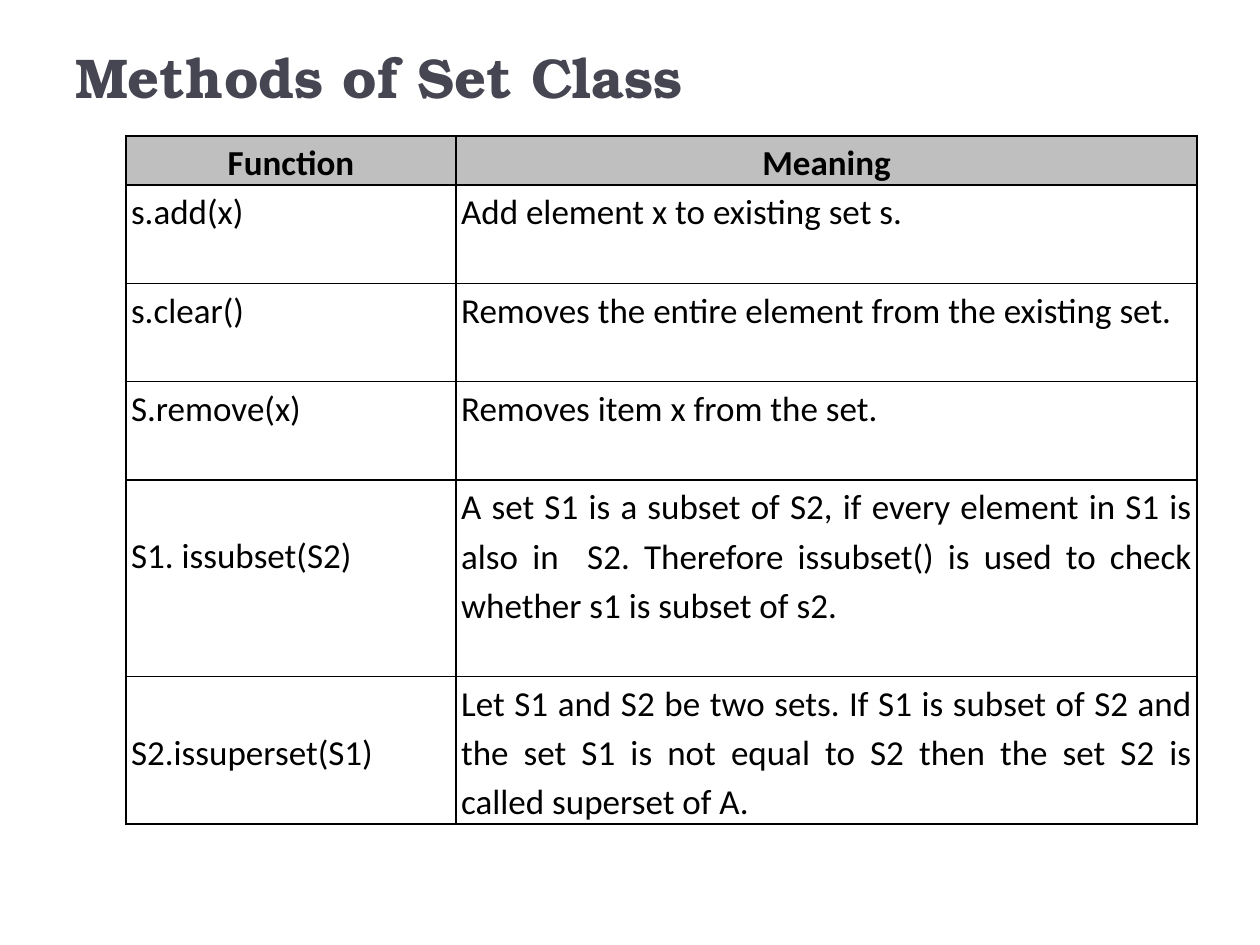
from lxml import etree
from pptx import Presentation
from pptx.dml.color import RGBColor
from pptx.enum.text import MSO_ANCHOR, PP_ALIGN
from pptx.oxml.ns import qn
from pptx.util import Inches, Pt

BOTTOM = MSO_ANCHOR.BOTTOM
LEFT, CENTER, JUSTIFY = PP_ALIGN.LEFT, PP_ALIGN.CENTER, PP_ALIGN.JUSTIFY

COLORS = {"title": "464653", "text": "000000", "header": "BFBFBF", "border": "000000"}
LINE_HEIGHT = 0.39
COLUMN_WIDTHS = (2.62, 5.88)

# Function, meaning, row height in lines, lines above the function name
HEADER = ("Function", "Meaning", 1, 0)
METHODS = [
    ("s.add(x)", "Add element x to existing set s.", 2, 0),
    ("s.clear()", "Removes the entire element from the existing set.", 2, 0),
    ("S.remove(x)", "Removes item x from the set.", 2, 0),
    ("S1. issubset(S2)",
     "A set S1 is a subset of S2, if every element in S1 is also in  S2. "
     "Therefore issubset() is used to check whether s1 is subset of s2.", 4, 1),
    ("S2.issuperset(S1)",
     "Let S1 and S2 be two sets. If S1 is subset of S2 and the set S1 is not "
     "equal to S2 then the set S2 is called superset of A.", 3, 1),
]


def write_text(text_frame, text, *, font="Calibri", size=20, color="text",
               bold=False, align=LEFT, spacing=1.0):
    paragraph = text_frame.paragraphs[0]
    paragraph.alignment = align
    paragraph.line_spacing = spacing
    run = paragraph.add_run()
    run.text = text
    run.font.name = font
    run.font.size = Pt(size)
    run.font.bold = bold
    run.font.color.rgb = RGBColor.from_string(COLORS[color])


def add_title(slide, text):
    shape = slide.shapes.add_textbox(Inches(0.5), Inches(0.17), Inches(9), Inches(0.75))
    text_frame = shape.text_frame
    text_frame.word_wrap = True
    text_frame.vertical_anchor = BOTTOM
    write_text(text_frame, text, font="TeX Gyre Bonum", size=32, color="title", bold=True)


def set_borders(cell):
    properties = cell._tc.get_or_add_tcPr()
    for position, side in enumerate(("lnL", "lnR", "lnT", "lnB")):
        line = etree.Element(qn(f"a:{side}"), w=str(Pt(1)))
        fill = etree.SubElement(line, qn("a:solidFill"))
        etree.SubElement(fill, qn("a:srgbClr"), val=COLORS["border"])
        properties.insert(position, line)


def fill_cell(cell, text, *, header=False, lines_above=0):
    cell.margin_left = cell.margin_right = Inches(0.04)
    cell.margin_top = Inches(lines_above * LINE_HEIGHT)
    cell.margin_bottom = Inches(0)
    if header:
        cell.fill.solid()
        cell.fill.fore_color.rgb = RGBColor.from_string(COLORS["header"])
    else:
        cell.fill.background()
    set_borders(cell)
    write_text(cell.text_frame, text, bold=header, spacing=1.15,
               align=CENTER if header else JUSTIFY)


def add_method_table(slide):
    rows = [HEADER] + METHODS
    height = LINE_HEIGHT * sum(lines for _, _, lines, _ in rows)
    table = slide.shapes.add_table(
        len(rows), len(COLUMN_WIDTHS), Inches(1), Inches(1.08),
        Inches(sum(COLUMN_WIDTHS)), Inches(height)).table
    table.horz_banding = False
    for column, width in zip(table.columns, COLUMN_WIDTHS):
        column.width = Inches(width)
    for index, (function, meaning, lines, lines_above) in enumerate(rows):
        table.rows[index].height = Inches(lines * LINE_HEIGHT)
        header = index == 0
        fill_cell(table.cell(index, 0), function, header=header, lines_above=lines_above)
        fill_cell(table.cell(index, 1), meaning, header=header)


def main():
    presentation = Presentation()
    presentation.slide_width = Inches(10)
    presentation.slide_height = Inches(7.5)
    slide = presentation.slides.add_slide(presentation.slide_layouts[6])
    add_title(slide, "Methods of Set Class")
    add_method_table(slide)
    presentation.save("out.pptx")


main()
